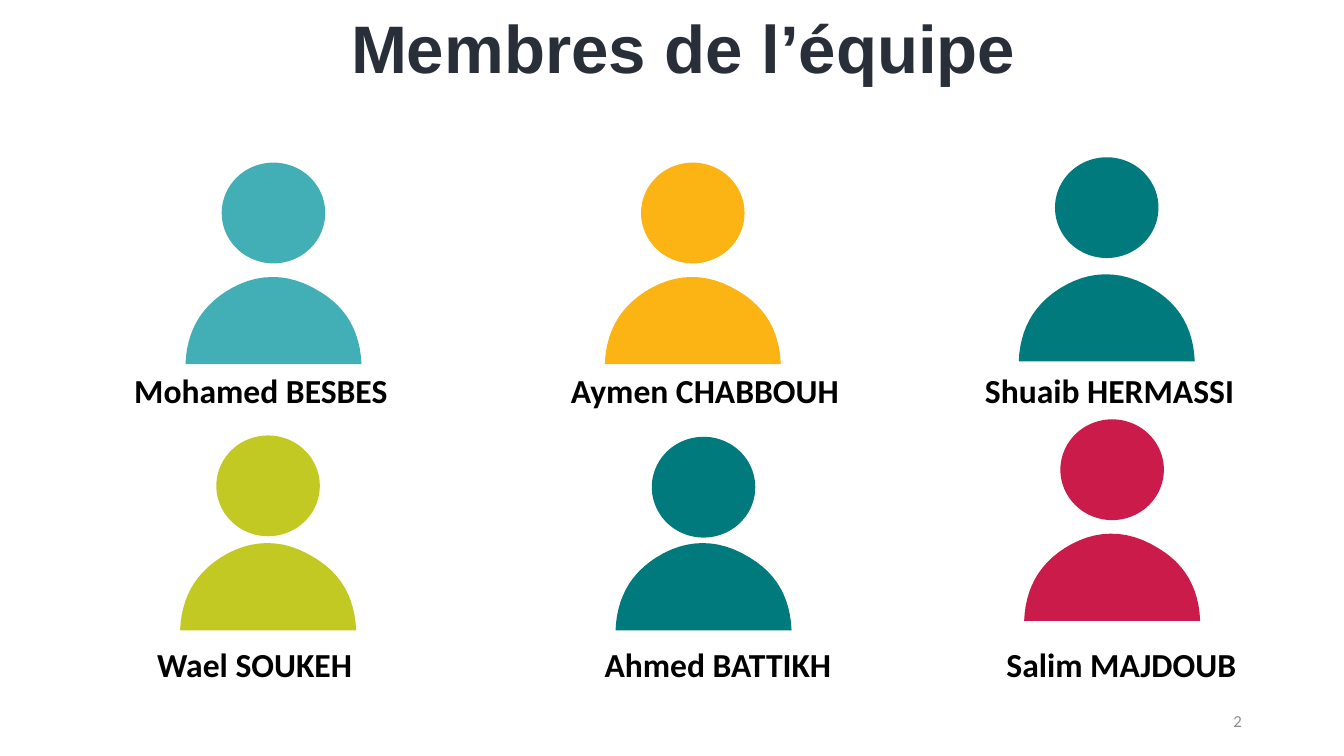
from pptx import Presentation
from pptx.dml.color import RGBColor
from pptx.enum.shapes import MSO_SHAPE
from pptx.enum.text import MSO_ANCHOR, PP_ALIGN
from pptx.util import Inches, Pt

NAVY = RGBColor(0x28, 0x2F, 0x39)
BLACK = RGBColor(0x00, 0x00, 0x00)
GRAY = RGBColor(0x8B, 0x8C, 0x8E)
AQUA = RGBColor(0x42, 0xAF, 0xB6)
AMBER = RGBColor(0xFC, 0xB4, 0x14)
TEAL = RGBColor(0x00, 0x7A, 0x7D)
LIME = RGBColor(0xC2, 0xC9, 0x23)
CRIMSON = RGBColor(0xCB, 0x1B, 0x4A)

SHOULDERS = [
    ((0, 0), (0.01, -0.23), (0.1, -0.41), (0.3, -0.54)),
    ((0.3, -0.54), (0.52, -0.68), (0.76, -0.69), (1, -0.54)),
    ((1, -0.54), (1.2, -0.42), (1.3, -0.24), (1.31, 0)),
]
STEPS = 12
HEAD_INSET = 0.27
ROW_LABELS = [2.65, 4.69]

ROWS = [
    [
        ("Mohamed BESBES", AQUA, 1.38, 2.71, 1.21, 0.9, 2.25),
        ("Aymen CHABBOUH", AMBER, 4.5, 2.71, 1.21, 4.15, 2.25),
        ("Shuaib HERMASSI", TEAL, 7.58, 2.69, 1.17, 7.23, 2.09),
    ],
    [
        ("Wael SOUKEH", LIME, 1.34, 4.69, 3.24, 1.07, 2.09),
        ("Ahmed BATTIKH", TEAL, 4.58, 4.69, 3.25, 4.4, 2.09),
        ("Salim MAJDOUB", CRIMSON, 7.62, 4.62, 3.12, 7.39, 2.13),
    ],
]


def write(sp, text, font, size, color, bold, align, margins):
    tf = sp.text_frame
    tf.text = text
    tf.word_wrap = True
    tf.margin_left = tf.margin_right = Inches(margins[0])
    tf.margin_top = tf.margin_bottom = Inches(margins[1])
    p = tf.paragraphs[0]
    p.alignment = align
    r = p.runs[0]
    r.font.name = font
    r.font.size = Pt(size)
    r.font.bold = bold
    r.font.color.rgb = color


def bezier(curve, t):
    weights = ((1 - t) ** 3, 3 * t * (1 - t) ** 2, 3 * t**2 * (1 - t), t**3)
    return tuple(sum(w * pt[axis] for w, pt in zip(weights, curve)) for axis in (0, 1))


prs = Presentation()
prs.slide_width = Inches(10)
prs.slide_height = Inches(10 * 9 / 16)
s = prs.slides.add_slide(prs.slide_layouts[5])

title = s.shapes.title
title.left, title.top = Inches(0.76), Inches(0.03)
title.width, title.height = Inches(8.65), Inches(0.71)
write(title, "Membres de l’équipe", "Arial", 36, NAVY, True, PP_ALIGN.CENTER, (0.07, 0.04))
title.text_frame.vertical_anchor = MSO_ANCHOR.MIDDLE
title.text_frame.paragraphs[0].line_spacing = 0.9

outline = [bezier(curve, i / STEPS) for curve in SHOULDERS for i in range(1, STEPS + 1)]

for label_top, row in zip(ROW_LABELS, ROWS):
    for name, color, left, bottom, head_top, label_left, label_width in row:
        fb = s.shapes.build_freeform(Inches(left), Inches(bottom))
        fb.add_line_segments([(Inches(left + x), Inches(bottom + y)) for x, y in outline])
        body = fb.convert_to_shape()
        head = s.shapes.add_shape(
            MSO_SHAPE.OVAL, Inches(left + HEAD_INSET), Inches(head_top), Inches(0.77), Inches(0.75)
        )
        for sp in (body, head):
            sp.shadow.inherit = False
            sp.fill.solid()
            sp.fill.fore_color.rgb = color
            sp.line.fill.background()

        label = s.shapes.add_textbox(
            Inches(label_left), Inches(label_top), Inches(label_width), Inches(0.44)
        )
        write(label, name, "Calibri", 18, BLACK, True, PP_ALIGN.LEFT, (0.1, 0.1))

number = s.shapes.add_textbox(Inches(7.06), Inches(5.21), Inches(2.25), Inches(0.3))
write(number, "2", "Calibri", 9, GRAY, False, PP_ALIGN.RIGHT, (0.07, 0.04))
number.text_frame.vertical_anchor = MSO_ANCHOR.MIDDLE

prs.save("out.pptx")
